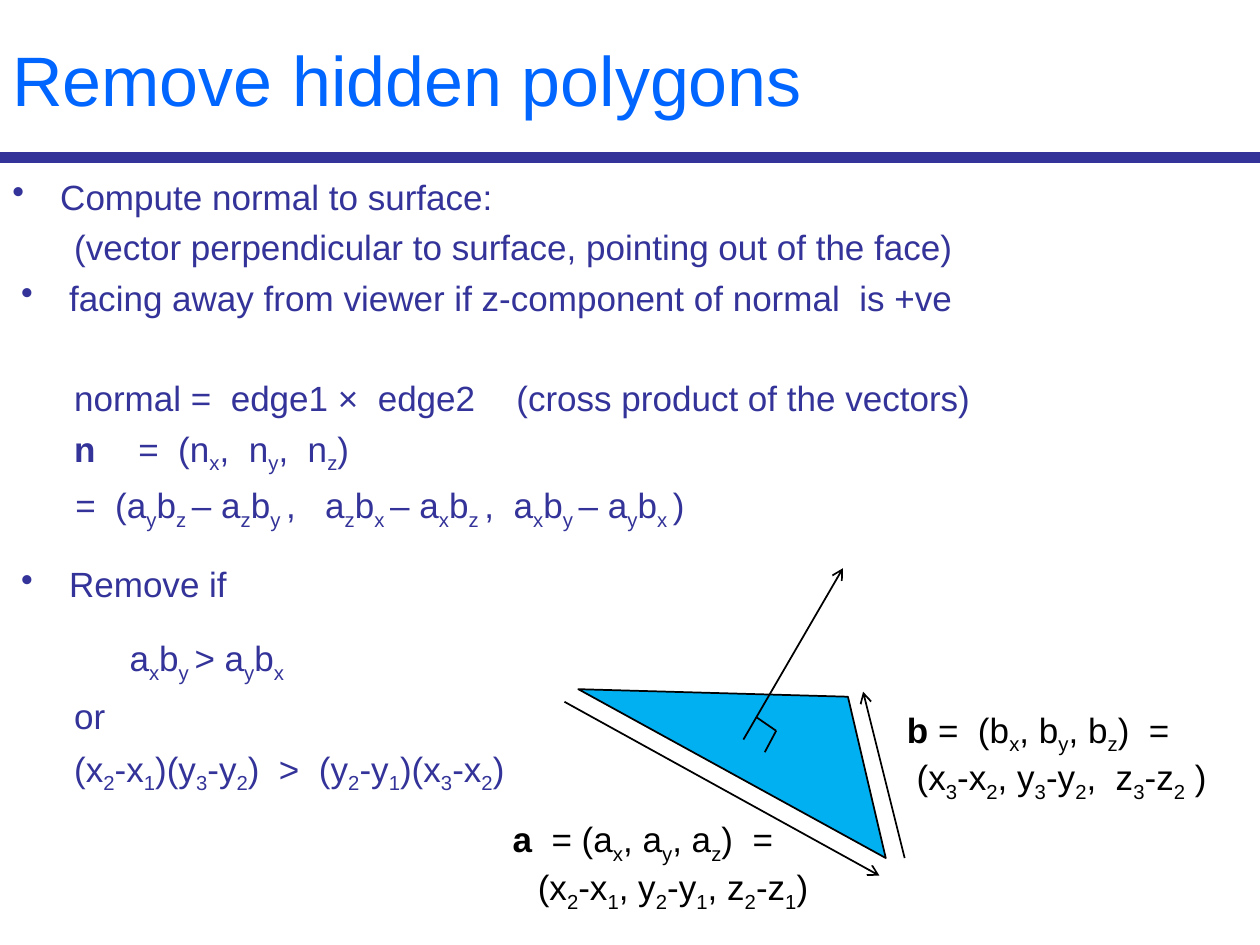
import pptx
import pptx.dml.color
import pptx.enum.shapes
import pptx.enum.text
import pptx.oxml.ns
import pptx.util
from lxml import etree

Inches = pptx.util.Inches
Pt = pptx.util.Pt
qn = pptx.oxml.ns.qn

COLORS = {"title": "0066FF", "body": "333399", "ink": "000000", "face": "00B0F0"}
FORMULA_TABS = (1.49, 5.06)


def rgb(name):
    return pptx.dml.color.RGBColor.from_string(COLORS[name])


def add_box(slide, left, top, width, height):
    box = slide.shapes.add_textbox(Inches(left), Inches(top), Inches(width), Inches(height))
    box.text_frame.word_wrap = True
    return box.text_frame


def add_run(paragraph, text, color, size=20, bold=False, subscript=False):
    run = paragraph.add_run()
    run.text = text
    run.font.name = "Arial"
    run.font.size = Pt(size)
    run.font.bold = bold
    run.font.color.rgb = rgb(color)
    if subscript:
        run.font._element.set("baseline", "-25000")


def add_formula(paragraph, formula, color, lead=""):
    """Text between tildes is set as a subscript."""
    if lead:
        add_run(paragraph, lead, color, bold=True)
    for index, part in enumerate(formula.split("~")):
        if part:
            add_run(paragraph, part, color, subscript=index % 2 == 1)


def next_paragraph(frame):
    first = frame.paragraphs[0]
    return frame.add_paragraph() if first.runs else first


def set_indent(paragraph, margin, first_line, bullet=False, tabs=()):
    properties = paragraph._p.get_or_add_pPr()
    properties.set("marL", str(Inches(margin)))
    properties.set("indent", str(Inches(first_line)))
    if bullet:
        etree.SubElement(properties, qn("a:buChar"), char="•")
    if tabs:
        tab_list = etree.SubElement(properties, qn("a:tabLst"))
        for position in tabs:
            etree.SubElement(tab_list, qn("a:tab"), pos=str(Inches(position)), algn="l")


def add_bullet(frame, text, margin=0.45, before=5, after=0):
    paragraph = next_paragraph(frame)
    set_indent(paragraph, margin, -0.38, bullet=True)
    paragraph.space_before = Pt(before)
    paragraph.space_after = Pt(after)
    add_formula(paragraph, text, "body")


def add_line(frame, formula, lead="", before=5, indent=0.49, tabs=()):
    paragraph = next_paragraph(frame)
    set_indent(paragraph, 0, indent, tabs=tabs)
    paragraph.space_before = Pt(before)
    add_formula(paragraph, formula, "body", lead)


def add_stroke(slide, start, end, color="ink", width=1, arrow=False):
    stroke = slide.shapes.add_connector(
        pptx.enum.shapes.MSO_CONNECTOR.STRAIGHT, *map(Inches, start + end))
    stroke.line.color.rgb = rgb(color)
    stroke.line.width = Pt(width)
    if arrow:
        etree.SubElement(stroke.line._get_or_add_ln(), qn("a:tailEnd"), type="arrow")
    etree.SubElement(stroke._element.spPr, qn("a:effectLst"))


def add_polygon(slide, corners):
    start, *others = [tuple(map(Inches, corner)) for corner in corners]
    builder = slide.shapes.build_freeform(*start, scale=1.0)
    builder.add_line_segments(others, close=True)
    polygon = builder.convert_to_shape()
    polygon.shadow.inherit = False
    polygon.fill.solid()
    polygon.fill.fore_color.rgb = rgb("face")
    polygon.line.color.rgb = rgb("ink")
    polygon.line.width = Pt(1)


def add_edge_label(slide, place, lead, components, differences, indent=0):
    frame = add_box(slide, *place)
    add_formula(frame.paragraphs[0], components, "ink", lead)
    second = frame.add_paragraph()
    set_indent(second, indent, 0)
    add_formula(second, differences, "ink")


def add_title(slide, text):
    frame = add_box(slide, 0, 0, 10, 1.25)
    frame.vertical_anchor = pptx.enum.text.MSO_ANCHOR.MIDDLE
    add_run(frame.paragraphs[0], text, "title", size=40)
    add_stroke(slide, (0, 1.25), (10, 1.25), "body", 6)


def add_method(slide):
    frame = add_box(slide, 0, 1.34, 10, 6.16)
    add_bullet(frame, "Compute normal to surface:", margin=0.38, before=0)
    add_line(frame, "(vector perpendicular to surface, pointing out of the face)")
    add_bullet(frame, "facing away from viewer if z-component of normal  is +ve")
    add_line(frame, "normal =  edge1 ×  edge2\t(cross product of the vectors)",
             before=33, tabs=FORMULA_TABS)
    add_line(frame, "\t=  (n~x~,  n~y~,  n~z~)", lead="n", tabs=FORMULA_TABS)
    add_line(frame, "\t=  (a~y~b~z ~– a~z~b~y ~,   a~z~b~x ~– a~x~b~z ~,  "
                    "a~x~b~y ~– a~y~b~x ~)", tabs=FORMULA_TABS)
    add_bullet(frame, "Remove if", before=18, after=12)
    add_line(frame, "a~x~b~y ~> a~y~b~x~", before=6, indent=0.93)
    add_line(frame, "or", before=6)
    add_line(frame, "(x~2~-x~1~)(y~3~-y~2~)  >  (y~2~-y~1~)(x~3~-x~2~)", before=6)


def add_diagram(slide):
    add_polygon(slide, [(7.03, 6.81), (6.73, 5.53), (4.59, 5.47)])
    add_stroke(slide, (5.9, 5.87), (6.69, 4.51), arrow=True)
    add_stroke(slide, (6, 5.69), (6.16, 5.8))
    add_stroke(slide, (6.16, 5.8), (6.07, 5.97))
    add_stroke(slide, (4.48, 5.57), (6.98, 6.95), arrow=True)
    add_stroke(slide, (7.18, 6.81), (6.85, 5.49), arrow=True)
    add_edge_label(slide, (3.97, 6.44, 2.76, 0.77), "a  ", "= (a~x~, a~y~, a~z~)  =",
                   "(x~2~-x~1~, y~2~-y~1~, z~2~-z~1~)", indent=0.2)
    add_edge_label(slide, (7.1, 5.57, 2.67, 0.77), "b", " =  (b~x~, b~y~, b~z~)  =",
                   " (x~3~-x~2~, y~3~-y~2~,  z~3~-z~2~ )")


def main():
    deck = pptx.Presentation()
    deck.slide_width = Inches(10)
    deck.slide_height = Inches(7.5)
    slide = deck.slides.add_slide(deck.slide_layouts[6])
    add_title(slide, "Remove hidden polygons")
    add_method(slide)
    add_diagram(slide)
    deck.save("out.pptx")


if __name__ == "__main__":
    main()
